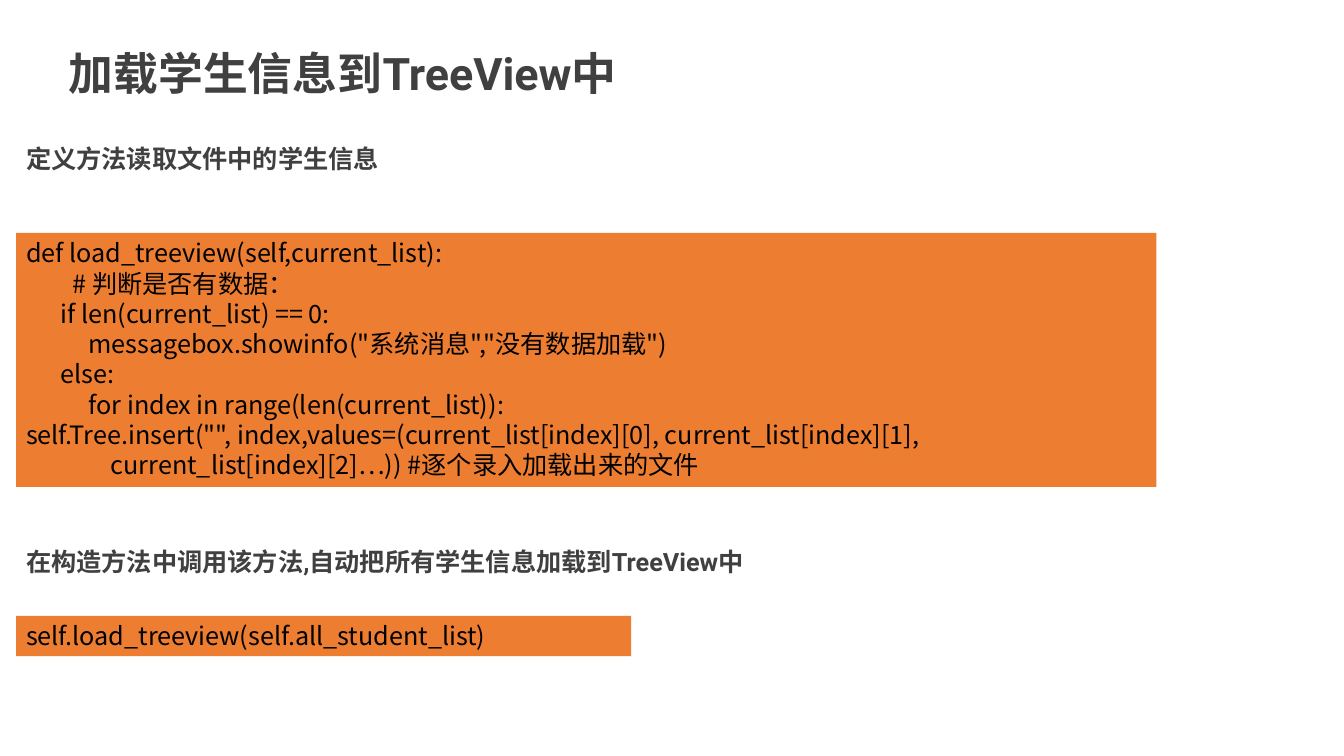
import pptx
import pptx.util
import pptx.dml.color
import pptx.enum.shapes
import pptx.enum.text
import pptx.oxml.ns
import lxml.etree

Inches = pptx.util.Inches
Pt = pptx.util.Pt
RGBColor = pptx.dml.color.RGBColor

GRAY = RGBColor(0x40, 0x40, 0x40)
BLACK = RGBColor(0, 0, 0)
ORANGE = RGBColor(0xED, 0x7D, 0x31)
HAN = "Noto Sans CJK SC"
HEAD = {"name": "Roboto", "size": Pt(18), "bold": True}
TITLE = {**HEAD, "size": Pt(32)}
CODE = {"name": HAN, "size": Pt(18), "bold": False}
LOAD = [
    (0, "def load_treeview(self,current_list):"),
    (0.46, "# 判断是否有数据："),
    (0.34, "if len(current_list) == 0:"),
    (0.62, 'messagebox.showinfo("系统消息","没有数据加载")'),
    (0.34, "else:"),
    (0.62, "for index in range(len(current_list)):"),
    (0, 'self.Tree.insert("", index,values=(current_list[index][0], current_list[index][1],'),
    (0.84, "current_list[index][2]…)) #逐个录入加载出来的文件"),
]


class Deck:
    """Hold the text styles and the current slide, and add its elements."""

    def __init__(self):
        self.prs = pptx.Presentation()
        self.prs.slide_width = Inches(13.33)
        self.prs.slide_height = Inches(7.5)
        self.slide = self.prs.slides.add_slide(self.prs.slide_layouts[5])

    def fill_text(self, shape, lines, style, color):
        frame = shape.text_frame
        form = {
            "word_wrap": True,
            "auto_size": pptx.enum.text.MSO_AUTO_SIZE.NONE,
            "vertical_anchor": pptx.enum.text.MSO_ANCHOR.TOP,
        }
        for key, value in form.items():
            setattr(frame, key, value)
        for row, (inset, text) in enumerate(lines):
            para = frame.paragraphs[0] if row == 0 else frame.add_paragraph()
            para.alignment = pptx.enum.text.PP_ALIGN.LEFT
            props = para._p.get_or_add_pPr()
            props.set("marL", str(Inches(inset)))
            props.set("indent", "0")
            run = para.add_run()
            run.text = text
            for key, value in style.items():
                setattr(run.font, key, value)
            run.font.color.rgb = color
            east = lxml.etree.SubElement(run._r.get_or_add_rPr(), pptx.oxml.ns.qn("a:ea"))
            east.set("typeface", HAN)

    def title(self, box, text):
        shape = self.slide.shapes.title
        for key, value in zip(("left", "top", "width", "height"), box):
            setattr(shape, key, Inches(value))
        self.fill_text(shape, [(0, text)], TITLE, GRAY)

    def head(self, box, text):
        shape = self.slide.shapes.add_textbox(*map(Inches, box))
        self.fill_text(shape, [(0, text)], HEAD, GRAY)

    def code(self, box, lines):
        kind = pptx.enum.shapes.MSO_SHAPE.RECTANGLE
        shape = self.slide.shapes.add_shape(kind, *map(Inches, box))
        shape.shadow.inherit = False
        shape.fill.solid()
        shape.fill.fore_color.rgb = ORANGE
        shape.line.fill.background()
        self.fill_text(shape, lines, CODE, BLACK)


def main():
    deck = Deck()
    deck.title((0.58, 0.4, 5.97, 0.64), "加载学生信息到TreeView中")
    deck.head((0.16, 1.37, 4.51, 0.4), "定义方法读取文件中的学生信息")
    deck.code((0.16, 2.31, 11.31, 2.52), LOAD)
    deck.head((0.16, 5.37, 9.67, 0.4), "在构造方法中调用该方法,自动把所有学生信息加载到TreeView中")
    deck.code((0.16, 6.11, 6.1, 0.4), [(0, "self.load_treeview(self.all_student_list)")])
    deck.prs.save("out.pptx")


if __name__ == "__main__":
    main()
